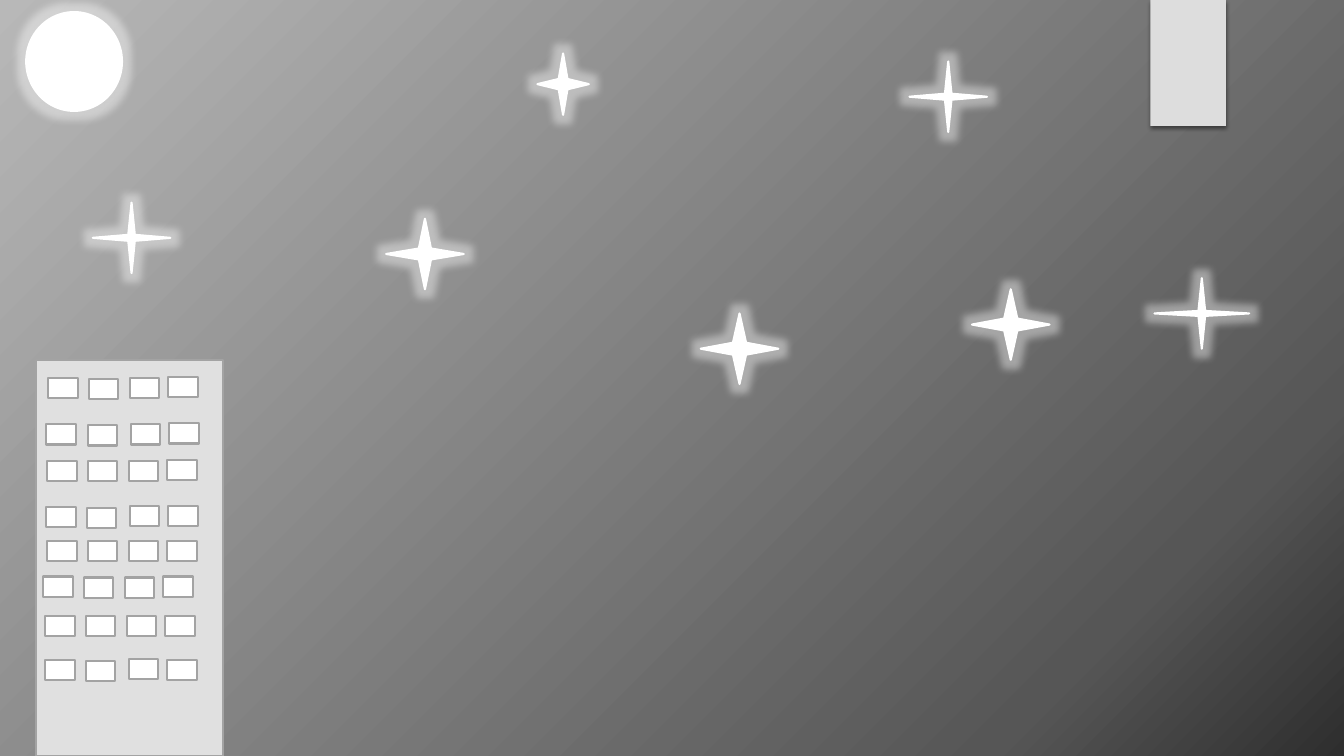
from copy import deepcopy

from lxml.etree import SubElement
from pptx import Presentation
from pptx.dml.color import RGBColor
from pptx.enum.shapes import MSO_SHAPE
from pptx.oxml.ns import qn
from pptx.util import Pt

PX = 9144  # 100 px to the inch
WHITE = RGBColor(0xFF, 0xFF, 0xFF)
BLACK = RGBColor(0x00, 0x00, 0x00)
BANNER_GREY = RGBColor(0xDD, 0xDD, 0xDD)
WALL_GREY = RGBColor(0xE0, 0xE0, 0xE0)
OUTLINE_GREY = RGBColor(0xA3, 0xA3, 0xA3)

SKY_STOPS = [
    (0, RGBColor(0xB8, 0xB8, 0xB8)),
    (0.83, RGBColor(0x56, 0x56, 0x56)),
    (1, RGBColor(0x2E, 0x2E, 0x2E)),
]
BANNER = (1141, 0, 75, 125)
MOON = (26, 12, 95, 98)
BUILDING = (36, 357, 185, 393)
# Box and inner sharpness of each star
STARS = [
    ((902, 61, 77, 70), 0.06),
    ((533, 53, 51, 61), 0.12),
    ((695, 311, 77, 70), 0.12),
    ((1145, 276, 94, 70), 0.05),
    ((964, 287, 77, 70), 0.12),
    ((383, 217, 77, 70), 0.11),
    ((92, 201, 77, 70), 0.06),
]
WINDOW_SIZE = (29, 20)
# Left and top of each window, floor by floor; the floors are uneven by hand
WINDOW_FLOORS = [
    [(48, 375), (88, 376), (129, 375), (167, 374)],
    [(46, 421), (87, 422), (130, 421), (168, 420)],
    [(47, 457), (87, 457), (128, 457), (166, 456)],
    [(46, 503), (86, 504), (129, 502), (167, 502)],
    [(47, 537), (87, 537), (128, 537), (166, 537)],
    [(43, 572), (83, 573), (124, 573), (162, 572)],
    [(45, 611), (85, 611), (126, 611), (164, 611)],
    [(45, 655), (85, 656), (128, 654), (166, 655)],
]


def paint_sky(slide):
    fill = slide.background.fill
    fill.gradient()
    fill.gradient_angle = 315
    stop_list = slide.element.find(".//" + qn("a:gsLst"))
    stop_list.append(deepcopy(stop_list[-1]))
    for stop, (position, color) in zip(fill.gradient_stops, SKY_STOPS):
        stop.position = position
        stop.color.rgb = color


def add_figure(slide, kind, box, fill, line=None):
    shape = slide.shapes.add_shape(kind, *(length * PX for length in box))
    shape.shadow.inherit = False
    shape.fill.solid()
    shape.fill.fore_color.rgb = fill
    if line is None:
        shape.line.fill.background()
    else:
        shape.line.color.rgb = line
        shape.line.width = Pt(1.5)
    return shape


def add_effect(shape, tag, color, opacity, **attributes):
    """Put a glow or a shadow in the shape's effect list; opacity in percent."""
    effects = shape.element.spPr.find(qn("a:effectLst"))
    effect = SubElement(effects, qn(tag), attributes)
    effect_color = SubElement(effect, qn("a:srgbClr"), val=str(color))
    SubElement(effect_color, qn("a:alpha"), val=str(opacity * 1000))


def add_glow(shape):
    add_effect(shape, "a:glow", WHITE, 40, rad=str(Pt(11)))


def main():
    presentation = Presentation()
    presentation.slide_width = 1333 * PX
    presentation.slide_height = 750 * PX
    slide = presentation.slides.add_slide(presentation.slide_layouts[6])
    paint_sky(slide)

    banner = add_figure(slide, MSO_SHAPE.RECTANGLE, BANNER, BANNER_GREY)
    add_effect(banner, "a:outerShdw", BLACK, 45,
               blurRad=str(Pt(3)), dist=str(Pt(2)), dir="5400000")

    for box, sharpness in STARS:
        star = add_figure(slide, MSO_SHAPE.STAR_4_POINT, box, WHITE, WHITE)
        star.adjustments[0] = sharpness
        add_glow(star)
    add_glow(add_figure(slide, MSO_SHAPE.FLOWCHART_CONNECTOR, MOON, WHITE, WHITE))

    add_figure(slide, MSO_SHAPE.RECTANGLE, BUILDING, WALL_GREY, OUTLINE_GREY)
    for floor in WINDOW_FLOORS:
        for corner in floor:
            add_figure(slide, MSO_SHAPE.FLOWCHART_PROCESS, corner + WINDOW_SIZE,
                       WHITE, OUTLINE_GREY)

    presentation.save("out.pptx")


if __name__ == "__main__":
    main()
